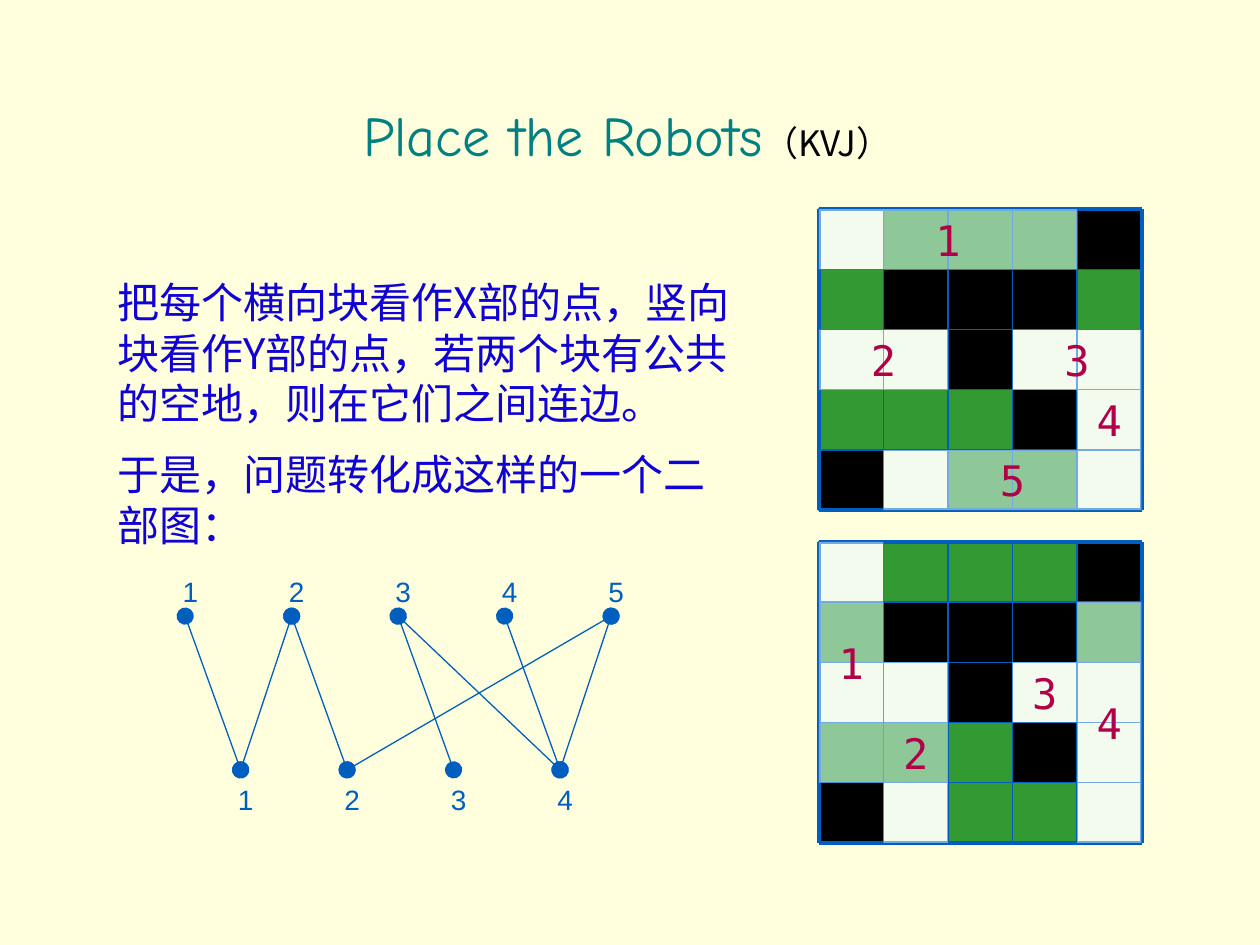
import lxml.etree
import pptx
import pptx.dml.color
import pptx.enum.shapes
import pptx.enum.text
import pptx.oxml.ns
import pptx.util

inches = pptx.util.Inches
qn = pptx.oxml.ns.qn
rgb = pptx.dml.color.RGBColor.from_string
center = pptx.enum.text.PP_ALIGN.CENTER
middle = pptx.enum.text.MSO_ANCHOR.MIDDLE
rect = pptx.enum.shapes.MSO_SHAPE.RECTANGLE

theme = {
    "page": "FFFFDD", "line": "005FBE", "wall": "000000", "grass": "339933",
    "block": "E9F7FF", "thin": 0.75, "thick": 2.25,
    "title": (32, "Comic Neue", "008080"),
    "source": (20, "Noto Sans CJK SC", "000000"),
    "body": (24, "Noto Sans CJK SC", "1001D5"),
    "number": (24, "DejaVu Sans Mono", "B20048"),
    "node": (16, "Arial", "005FBE"),
}


def style_run(r, role):
    size, face, color = theme[role]
    r.font.size = pptx.util.Pt(size)
    r.font.name = face
    r.font.color.rgb = rgb(color)
    if role in ("body", "source"):
        lxml.etree.SubElement(r.font._element, qn("a:ea"), typeface=face)


def add_line(group, ends, width, tip=None):
    c = group.shapes.add_connector(
        pptx.enum.shapes.MSO_CONNECTOR.STRAIGHT, *map(inches, ends))
    c.line.color.rgb = rgb(theme["line"])
    c.line.width = pptx.util.Pt(width)
    if tip:
        for end in ("a:headEnd", "a:tailEnd"):
            lxml.etree.SubElement(c.line._get_or_add_ln(), qn(end), type=tip, w="lg", len="lg")
    lxml.etree.SubElement(c._element.spPr, qn("a:effectLst"))


prs = pptx.Presentation()
prs.slide_width, prs.slide_height = inches(10), inches(7.5)
s = prs.slides.add_slide(prs.slide_layouts[3])
s.background.fill.solid()
s.background.fill.fore_color.rgb = rgb(theme["page"])
title, *bodies = s.placeholders

title.left, title.top, title.width, title.height = map(inches, (0.31, 0.75, 9.34, 0.63))
tf = title.text_frame
tf.auto_size = pptx.enum.text.MSO_AUTO_SIZE.NONE
tf.vertical_anchor = middle
p = tf.paragraphs[0]
p.alignment = center
for text, role in (("Place the Robots", "title"), ("（KVJ）", "source")):
    r = p.add_run()
    r.text = text
    style_run(r, role)

paragraphs = (
    ((0.83, 2.14, 5.12, 1.3), "把每个横向块看作X部的点，竖向块看作Y部的点，若两个块有公共的空地，则在它们之间连边。"),
    ((0.83, 3.51, 4.92, 0.9), "于是，问题转化成这样的一个二部图："),
)
for sp, (box, text) in zip(bodies, paragraphs):
    sp.left, sp.top, sp.width, sp.height = map(inches, box)
    tf = sp.text_frame
    tf.text = text
    tf.auto_size = pptx.enum.text.MSO_AUTO_SIZE.NONE
    p = tf.paragraphs[0]
    p.line_spacing = pptx.util.Pt(29)
    p.space_before = pptx.util.Pt(0)
    pPr = p._p.get_or_add_pPr()
    pPr.set("marL", "0")
    pPr.set("indent", "0")
    lxml.etree.SubElement(pPr, qn("a:buNone"))
    style_run(p.runs[0], "body")

board = (".GGG#", "G###G", "..#..", "GGG#.", "#.GG.")
fills = {"G": theme["grass"], "#": theme["wall"]}
left, col, row = 6.5, 2.56 / 5, 2.39 / 5
right = left + 5 * col
grids = (
    (1.66, ((0, 0, 4, 1), (0, 2, 2, 1), (3, 2, 2, 1), (4, 3, 1, 1), (1, 4, 4, 1))),
    (4.3, ((0, 0, 1, 4), (1, 2, 1, 3), (3, 2, 1, 1), (4, 1, 1, 4))),
)
for top, blocks in grids:
    bottom = top + 5 * row
    group = s.shapes.add_group_shape()
    for j, cells in enumerate(board):
        for i, cell in enumerate(cells):
            sp = group.shapes.add_shape(
                rect, *map(inches, (left + i * col, top + j * row, col, row)))
            sp.shadow.inherit = False
            sp.line.color.rgb = rgb(theme["line"])
            sp.line.width = pptx.util.Pt(theme["thin"])
            if cell in fills:
                sp.fill.solid()
                sp.fill.fore_color.rgb = rgb(fills[cell])
            else:
                sp.fill.background()
    for ends in ((left, top, right, top), (left, bottom, right, bottom),
                 (left, top, left, bottom), (right, top, right, bottom)):
        add_line(group, ends, theme["thick"])
    for number, (i, j, cols, rows) in enumerate(blocks, 1):
        sp = group.shapes.add_shape(
            rect, *map(inches, (left + i * col, top + j * row, cols * col, rows * row)))
        sp.shadow.inherit = False
        sp.line.fill.background()
        sp.fill.solid()
        sp.fill.fore_color.rgb = rgb(theme["block"])
        color = sp._element.spPr.find(".//" + qn("a:srgbClr"))
        lxml.etree.SubElement(color, qn("a:alpha"), val="50000")
        tf = sp.text_frame
        tf.text = str(number)
        tf.vertical_anchor = middle
        tf.paragraphs[0].alignment = center
        style_run(tf.paragraphs[0].runs[0], "number")

step = 3.38 / 4
upper = [1.47 + i * step for i in range(5)]
lower = [1.91 + i * step for i in range(4)]
upper_y, lower_y = 4.89, 6.11
edges = ((1, 1), (2, 1), (2, 2), (3, 3), (4, 4), (3, 4), (5, 2), (5, 4))
graph = s.shapes.add_group_shape()
for a, b in edges:
    add_line(graph, (upper[a - 1], upper_y, lower[b - 1], lower_y), theme["thin"], "oval")
for xs, y in ((upper, 4.54), (lower, 6.19)):
    for number, x in enumerate(xs, 1):
        sp = graph.shapes.add_textbox(*map(inches, (x - 0.08, y, 0.24, 0.3)))
        tf = sp.text_frame
        tf.text = str(number)
        tf.word_wrap = True
        tf.margin_left = tf.margin_right = tf.margin_top = tf.margin_bottom = 0
        tf.vertical_anchor = middle
        tf.paragraphs[0].alignment = center
        style_run(tf.paragraphs[0].runs[0], "node")

prs.save("out.pptx")
